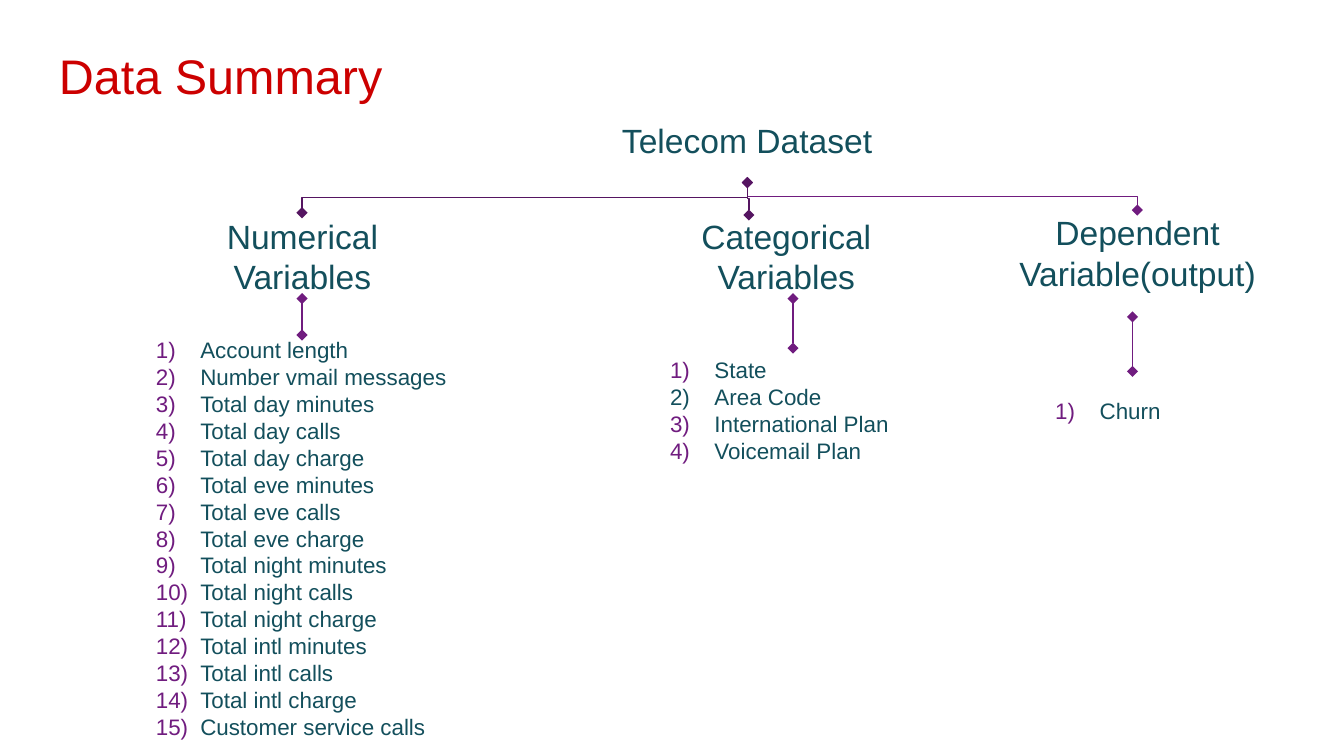
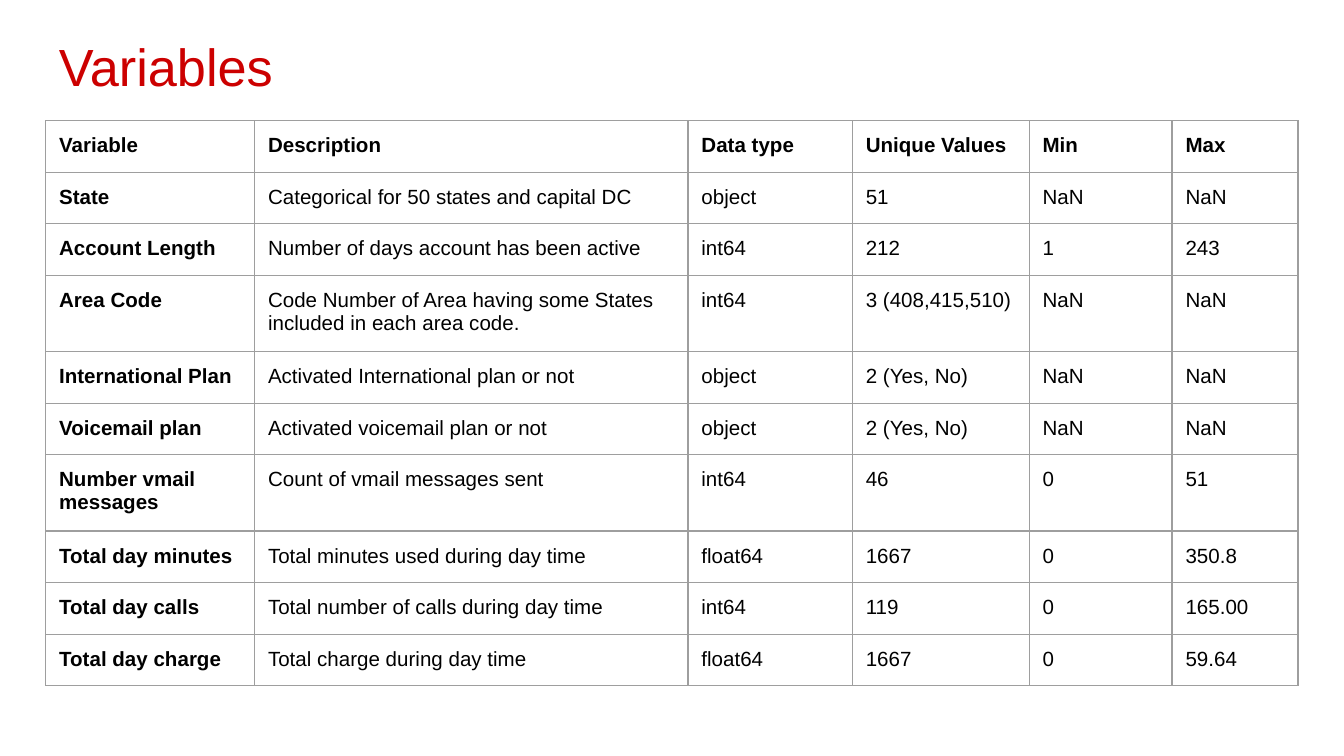
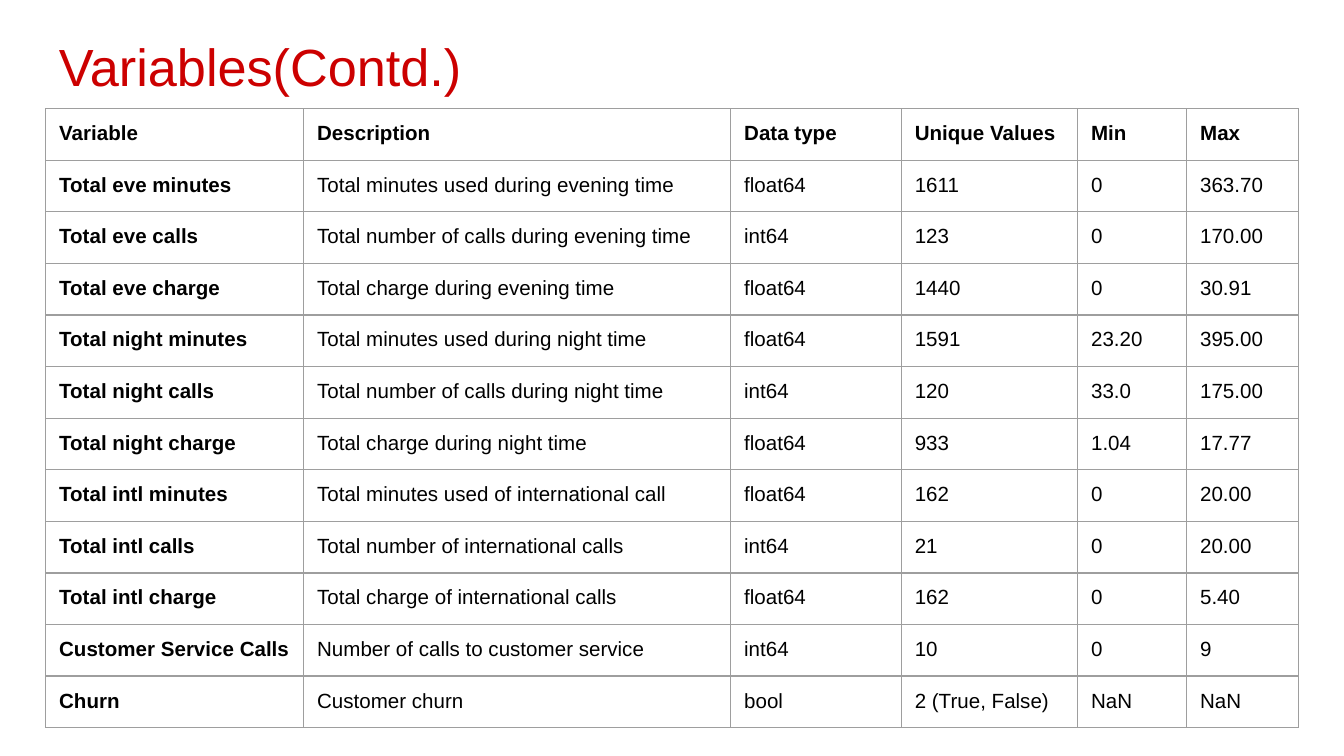
import dataclasses

import lxml.etree
import pptx
import pptx.dml.color
import pptx.enum.shapes
import pptx.enum.text
import pptx.oxml.ns
import pptx.util

Pt = pptx.util.Pt
qn = pptx.oxml.ns.qn
color = pptx.dml.color.RGBColor.from_string
Anchor = pptx.enum.text.MSO_ANCHOR
Align = pptx.enum.text.PP_ALIGN


@dataclasses.dataclass
class Theme:
    font: str = "Arial"
    title: str = "CC0000"
    teal: str = "134F5C"
    purple: str = "701C7F"
    plum: str = "551561"
    ink: str = "000000"
    grid: str = "9E9E9E"
    summary_title_size: float = 26
    table_title_size: float = 28
    heading_size: float = 18
    list_size: float = 12
    cell_size: float = 11
    inset: float = 7.2
    line: float = 0.75


theme = Theme()
insets = {f"margin_{side}": Pt(theme.inset) for side in ("left", "right", "top", "bottom")}


def add_text(page, place, lines, size, ink, anchor=Anchor.MIDDLE, align=Align.LEFT, number_inks=()):
    box = page.shapes.add_textbox(*[Pt(length) for length in place])
    frame = box.text_frame
    frame_format = {"word_wrap": True, "vertical_anchor": anchor, **insets}
    for name, value in frame_format.items():
        setattr(frame, name, value)
    for index, line in enumerate(lines):
        para = frame.paragraphs[0] if index == 0 else frame.add_paragraph()
        para.alignment = align
        if number_inks:
            props = para._p.get_or_add_pPr()
            props.set("marL", str(Pt(36)))
            props.set("indent", str(Pt(-23.8)))
            tint = lxml.etree.SubElement(props, qn("a:buClr"))
            lxml.etree.SubElement(tint, qn("a:srgbClr"), val=number_inks[index])
            lxml.etree.SubElement(props, qn("a:buAutoNum"), type="arabicParenR")
        span = para.add_run()
        span.text = line
        for name, value in {"name": theme.font, "size": Pt(size)}.items():
            setattr(span.font, name, value)
        span.font.color.rgb = color(ink)


def add_branch(page, top, bottom, ink):
    middle_x, middle_y = (top[0] + bottom[0]) / 2, (top[1] + bottom[1]) / 2
    half_drop, half_shift = (bottom[1] - top[1]) / 2, (bottom[0] - top[0]) / 2
    ends = (middle_x - half_drop, middle_y + half_shift, middle_x + half_drop, middle_y - half_shift)
    branch = page.shapes.add_connector(
        pptx.enum.shapes.MSO_CONNECTOR.ELBOW, *[Pt(length) for length in ends])
    branch.line.width = Pt(theme.line)
    branch.line.color.rgb = color(ink)
    props = branch._element.spPr
    props.find(qn("a:xfrm")).set("rot", str(90 * 60000))
    outline = props.find(qn("a:ln"))
    for tag in ("a:headEnd", "a:tailEnd"):
        lxml.etree.SubElement(outline, qn(tag), type="diamond")
    lxml.etree.SubElement(props, qn("a:effectLst"))


deck = pptx.Presentation()
deck.slide_width, deck.slide_height = Pt(720), Pt(405)
blank = deck.slide_layouts[6]

summary = deck.slides.add_slide(blank)
add_text(summary, (24.5, 17.5, 671, 45), ["Data Summary"],
         theme.summary_title_size, theme.title, Anchor.TOP)

root = (400.4, 97.8)
branches = [
    (root, (401.2, 115.2), theme.plum),
    ((161.8, 160), (161.8, 179.5), theme.purple),
    ((424.8, 160), (424.8, 186.5), theme.purple),
    (root, (609.3, 112.5), theme.purple),
    (root, (161.8, 114), theme.plum),
    ((606.7, 169.8), (606.7, 199), theme.purple),
]
for top, bottom, ink in branches:
    add_branch(summary, top, bottom, ink)

headings = [
    ("Telecom Dataset", (316, 52, 168.5, 46)),
    ("Numerical Variables", (101.5, 114, 121, 46)),
    ("Categorical Variables", (360.7, 114, 121, 46)),
    ("Dependent Variable(output)", (535.4, 112.3, 148, 46)),
]
for heading, place in headings:
    add_text(summary, place, [heading], theme.heading_size, theme.teal, align=Align.CENTER)

numerical = ["Account length", "Number vmail messages"]
numerical += [f"Total {period} {measure}" for period in ("day", "eve", "night", "intl")
              for measure in ("minutes", "calls", "charge")]
numerical += ["Customer service calls"]
categorical = ["State", "Area Code", "International Plan", "Voicemail Plan"]
variable_lists = [
    (numerical, (64.2, 179.5, 195, 217.5)),
    (categorical, (339.7, 188.7, 163.5, 62)),
    (["Churn"], (546, 197, 121, 46)),
]
for names, place in variable_lists:
    number_inks = [theme.teal if name == "Area Code" else theme.purple for name in names]
    add_text(summary, place, names, theme.list_size, theme.teal, number_inks=number_inks)

header = ("Variable", "Description", "Data type", "Unique Values", "Min", "Max")
first_rows = [
    header,
    ("State", "Categorical for 50 states and capital DC", "object", "51", "NaN", "NaN"),
    ("Account Length", "Number of days account has been active", "int64", "212", "1", "243"),
    ("Area Code", "Code Number of Area having some States included in each area code.",
     "int64", "3 (408,415,510)", "NaN", "NaN"),
    ("International Plan", "Activated International plan or not", "object", "2 (Yes, No)", "NaN", "NaN"),
    ("Voicemail plan", "Activated voicemail plan or not", "object", "2 (Yes, No)", "NaN", "NaN"),
    ("Number vmail messages", "Count of vmail messages sent", "int64", "46", "0", "51"),
    ("Total day minutes", "Total minutes used during day time", "float64", "1667", "0", "350.8"),
    ("Total day calls", "Total number of calls during day time", "int64", "119", "0", "165.00"),
    ("Total day charge", "Total charge during day time", "float64", "1667", "0", "59.64"),
]
second_rows = [
    header,
    ("Total eve minutes", "Total minutes used during evening time", "float64", "1611", "0", "363.70"),
    ("Total eve calls", "Total number of calls during evening time", "int64", "123", "0", "170.00"),
    ("Total eve charge", "Total charge during evening time", "float64", "1440", "0", "30.91"),
    ("Total night minutes", "Total minutes used during night time", "float64", "1591", "23.20", "395.00"),
    ("Total night calls", "Total number of calls during night time", "int64", "120", "33.0", "175.00"),
    ("Total night charge", "Total charge during night time", "float64", "933", "1.04", "17.77"),
    ("Total intl minutes", "Total minutes used of international call", "float64", "162", "0", "20.00"),
    ("Total intl calls", "Total number of international calls", "int64", "21", "0", "20.00"),
    ("Total intl charge", "Total charge of international calls", "float64", "162", "0", "5.40"),
    ("Customer Service Calls", "Number of calls to customer service", "int64", "10", "0", "9"),
    ("Churn", "Customer churn", "bool", "2 (True, False)", "NaN", "NaN"),
]
row_height, tall_row_height = 26.6, 38.95
tall_rows = ("Area Code", "Number vmail messages")
tables = [
    ("Variables", 64.6, (111.9, 232.2, 88.1, 94.7, 76.6, 67.5), first_rows),
    ("Variables(Contd.)", 58.2, (138.2, 228.8, 91.4, 94.5, 58.4, 59.7), second_rows),
]
for title, table_top, widths, rows in tables:
    page = deck.slides.add_slide(blank)
    add_text(page, (24.5, 11, 671, 45), [title], theme.table_title_size, theme.title, Anchor.TOP)
    heights = [tall_row_height if row[0] in tall_rows else row_height for row in rows]
    table = page.shapes.add_table(len(rows), len(header), Pt(24.5), Pt(table_top),
                                  Pt(sum(widths)), Pt(sum(heights))).table
    table.first_row = table.horz_banding = False
    for column, width in zip(table.columns, widths):
        column.width = Pt(width)
    for row_index, (row, height) in enumerate(zip(rows, heights)):
        table.rows[row_index].height = Pt(height)
        for column_index, value in enumerate(row):
            cell = table.cell(row_index, column_index)
            for name, margin in insets.items():
                setattr(cell, name, margin)
            span = cell.text_frame.paragraphs[0].add_run()
            span.text = value
            cell_format = {"name": theme.font, "size": Pt(theme.cell_size),
                           "bold": row_index == 0 or column_index == 0}
            for name, setting in cell_format.items():
                setattr(span.font, name, setting)
            span.font.color.rgb = color(theme.ink)
            props = cell._tc.get_or_add_tcPr()
            for tag in ("a:lnL", "a:lnR", "a:lnT", "a:lnB"):
                border = lxml.etree.SubElement(props, qn(tag), w=str(Pt(theme.line)))
                fill = lxml.etree.SubElement(border, qn("a:solidFill"))
                lxml.etree.SubElement(fill, qn("a:srgbClr"), val=theme.grid)
            cell.fill.background()

deck.save("out.pptx")
